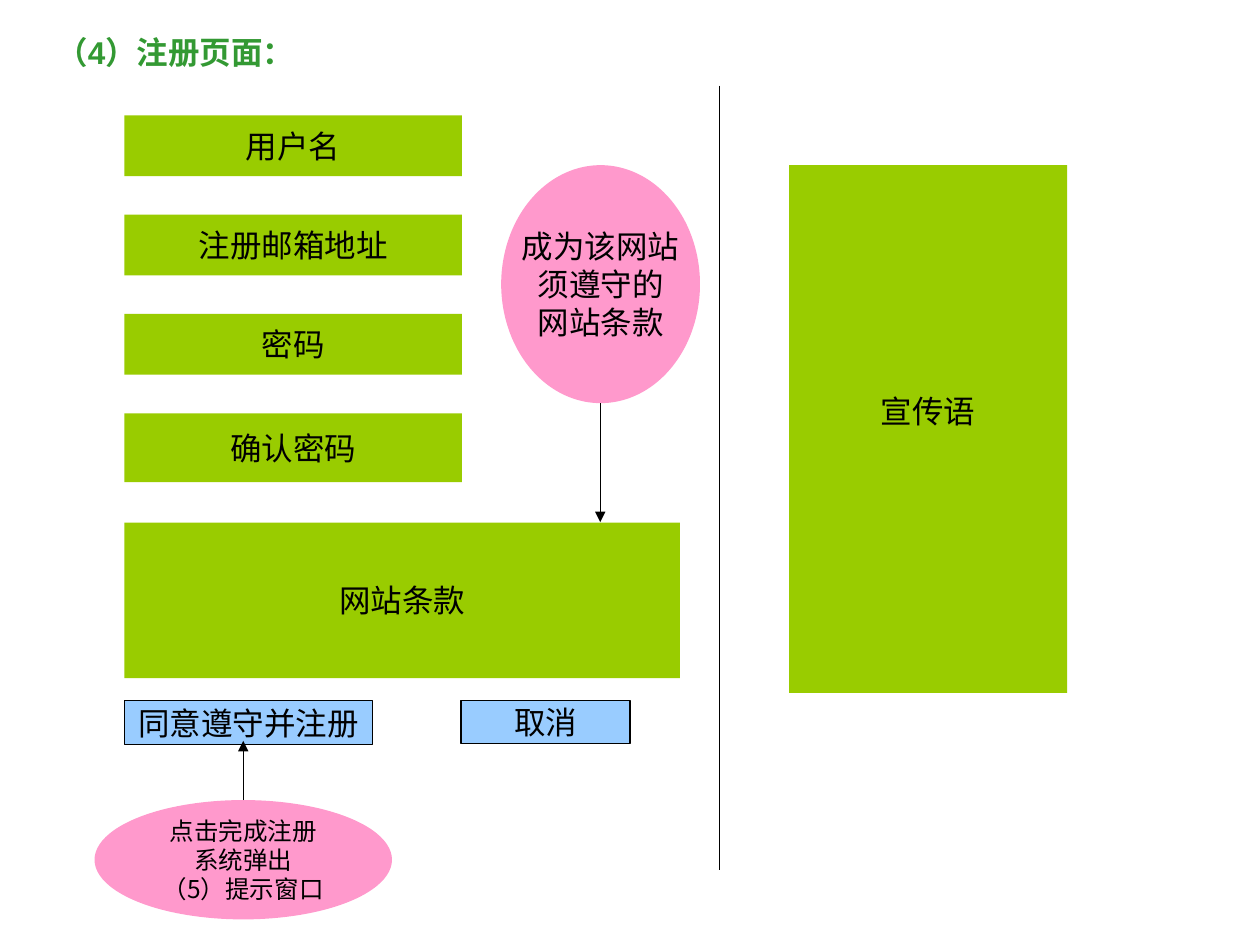
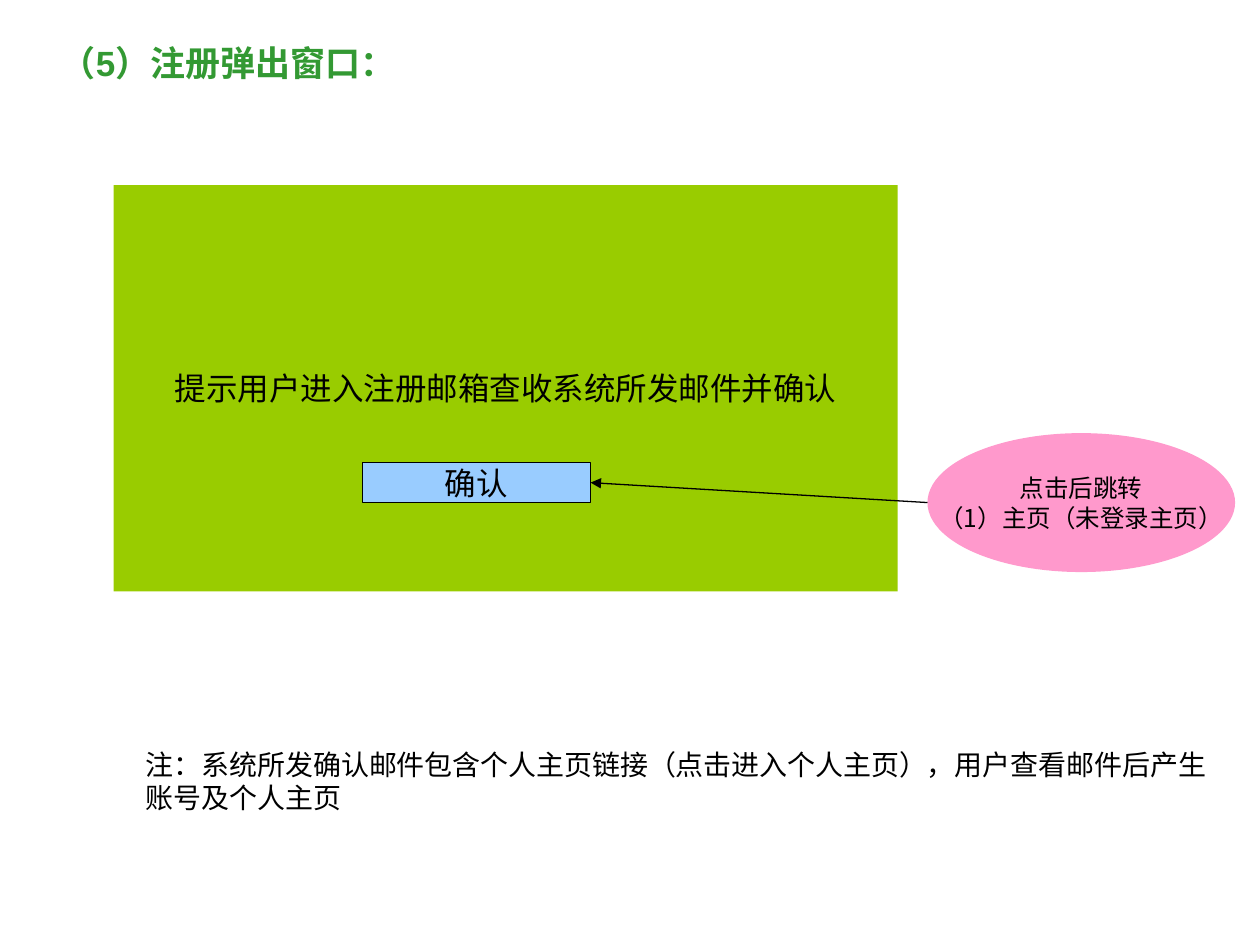
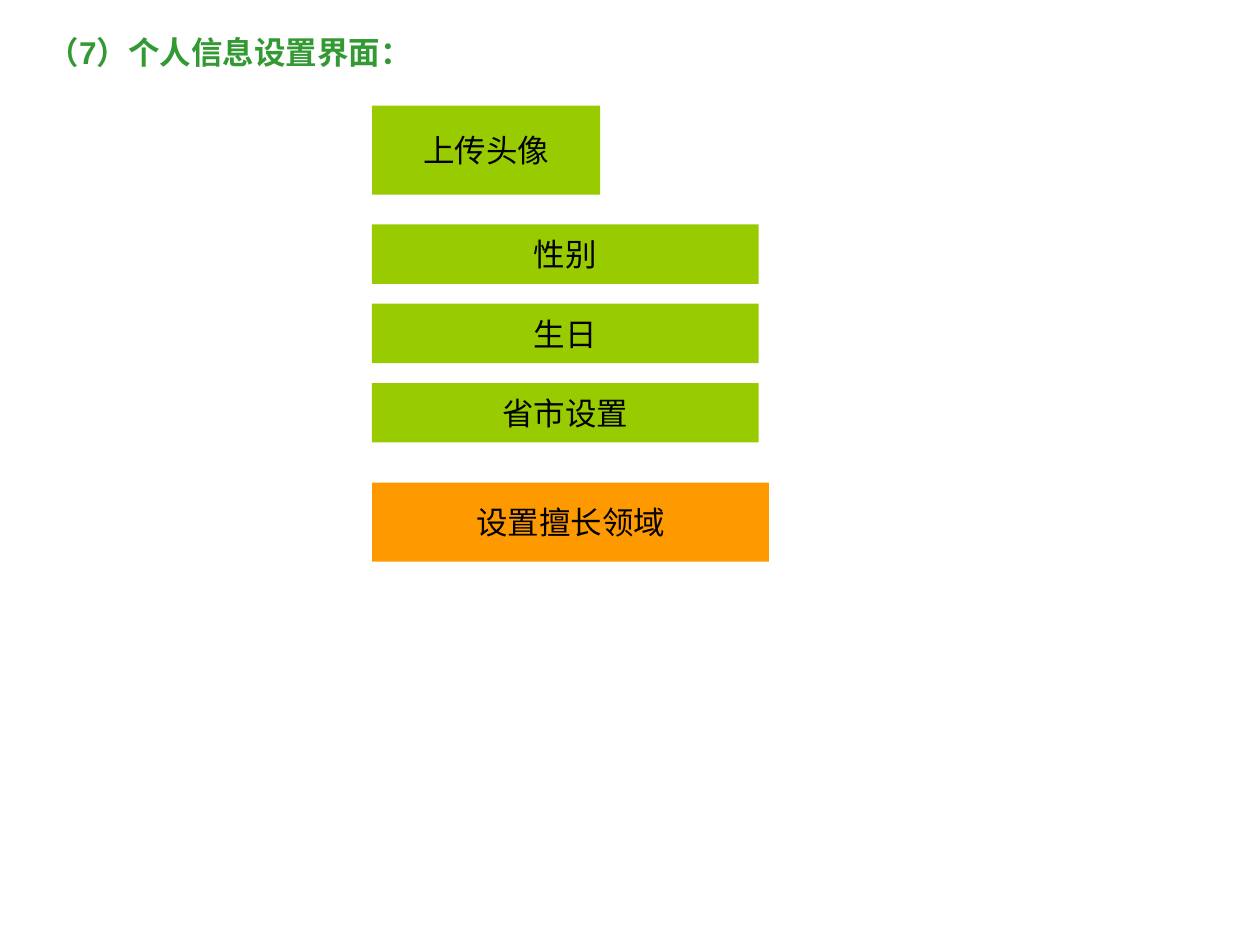
from lxml.etree import SubElement
from pptx import Presentation
from pptx.dml.color import RGBColor
from pptx.enum.shapes import MSO_CONNECTOR, MSO_SHAPE
from pptx.enum.text import MSO_ANCHOR, PP_ALIGN
from pptx.oxml.ns import qn
from pptx.util import Pt

LATIN, CJK = "Arial", "Noto Sans CJK SC"
BLACK, TITLE_GREEN = "000000", "339933"
RECT, OVAL = MSO_SHAPE.RECTANGLE, MSO_SHAPE.OVAL

# kind: preset, fill, outlined, latin font, size
KINDS = {
    "field": (RECT, "99CC00", False, LATIN, 18),
    "skill": (RECT, "FF9900", False, LATIN, 18),
    "button": (RECT, "99CCFF", True, LATIN, 18),
    "note": (OVAL, "FF99CC", False, CJK, 14),
    "big_note": (OVAL, "FF99CC", False, CJK, 18),
}


def stack(labels, left, top, width, height, pitch):
    """Fields of one size, placed at equal steps downwards."""
    return [("field", label, (left, top + i * pitch, width, height))
            for i, label in enumerate(labels)]


# title: text, box, size, alignment; parts: kind, text, box
# lines: from, to, arrow; remark: text, box
SLIDES = [
    {
        "title": ("（4）注册页面：", (25.2, 15.1, 158.4, 28.8), 18, PP_ALIGN.LEFT),
        "parts": stack(["用户名", "注册邮箱地址", "密码"], 71, 66, 193, 34.7, 56.7) + [
            ("field", "确认密码", (71, 236.2, 193, 39.4)),
            ("field", "网站条款", (71, 298.6, 317.5, 89)),
            ("button", "同意遵守并注册", (71, 400.5, 141.8, 25)),
            ("button", "取消", (263.5, 400.5, 96.5, 24.5)),
            ("field", "宣传语", (450.9, 94.4, 158.9, 301.6)),
            ("note", "点击完成注册\n系统弹出\n（5）提示窗口", (54, 457.2, 170, 68.2)),
            ("big_note", "成为该网站\n须遵守的\n网站条款", (286.4, 94.4, 113.6, 136)),
        ],
        "lines": [
            ((411.1, 49), (411.1, 497), False),
            ((139, 457.2), (139, 423.4), True),
            ((343, 230.4), (343, 298.4), True),
        ],
    },
    {
        "title": ("（5）注册弹出窗口：", (8.6, 20.2, 244, 33), 20, PP_ALIGN.CENTER),
        "parts": [
            ("field", "提示用户进入注册邮箱查收系统所发邮件并确认",
             (65, 105.8, 448, 232.2)),
            ("button", "确认", (207, 264.3, 130.5, 22.7)),
            ("note", "点击后跳转\n（1）主页（未登录主页）", (530, 247.5, 175.8, 79.4)),
        ],
        "lines": [((530, 287.2), (337.5, 275.8), True)],
        "remark": ("注：系统所发确认邮件包含个人主页链接（点击进入个人主页），"
                   "用户查看邮件后产生账号及个人主页", (76.3, 423.4, 635, 46)),
    },
    {
        "title": ("（7）个人信息设置界面：", (20.2, 15.1, 221, 28.8), 18, PP_ALIGN.LEFT),
        "parts": [("field", "上传头像", (212.6, 60.3, 130.3, 51))]
        + stack(["性别", "生日", "省市设置"], 212.6, 128.2, 221, 34, 45.35)
        + [("skill", "设置擅长领域", (212.6, 275.8, 226.8, 45.2))],
        "lines": [],
    },
]
RAISED = {"宣传语": 21}  # extra bottom inset that lifts centred text


def rgb(color):
    return RGBColor.from_string(color)


def pts(values):
    return [Pt(v) for v in values]


def write(tf, text, size, color=BLACK, latin=LATIN, bold=False, align=PP_ALIGN.LEFT):
    tf.text = text
    for p in tf.paragraphs:
        p.alignment = align
        for r in p.runs:
            r.font.size, r.font.bold, r.font.name = Pt(size), bold, latin
            r.font.color.rgb = rgb(color)
            SubElement(r.font._element, qn("a:ea"), typeface=CJK)


def add_text(slide, text, box, size, **style):
    tf = slide.shapes.add_textbox(*pts(box)).text_frame
    tf.word_wrap = True
    write(tf, text, size, **style)


def add_part(slide, kind, text, box):
    preset, fill, outlined, latin, size = KINDS[kind]
    s = slide.shapes.add_shape(preset, *pts(box))
    s.shadow.inherit = False
    s.fill.solid()
    s.fill.fore_color.rgb = rgb(fill)
    if outlined:
        s.line.color.rgb = rgb(BLACK)
        s.line.width = Pt(0.75)
    else:
        s.line.fill.background()
    tf = s.text_frame
    tf.word_wrap = False
    tf.vertical_anchor = MSO_ANCHOR.MIDDLE
    tf.margin_bottom = Pt(3.6 + RAISED.get(text, 0))
    write(tf, text, size, latin=latin, align=PP_ALIGN.CENTER)


def add_line(slide, start, end, arrow):
    c = slide.shapes.add_connector(MSO_CONNECTOR.STRAIGHT, *pts(start + end))
    c.line.color.rgb = rgb(BLACK)
    c.line.width = Pt(0.75)
    if arrow:
        SubElement(c.line._get_or_add_ln(), qn("a:tailEnd"), type="triangle")
    SubElement(c._element.spPr, qn("a:effectLst"))


def main():
    prs = Presentation()
    prs.slide_width, prs.slide_height = Pt(720), Pt(540)
    for content in SLIDES:
        slide = prs.slides.add_slide(prs.slide_layouts[6])
        text, box, size, align = content["title"]
        add_text(slide, text, box, size, color=TITLE_GREEN, bold=True, align=align)
        for part in content["parts"]:
            add_part(slide, *part)
        for line in content["lines"]:
            add_line(slide, *line)
        if "remark" in content:
            add_text(slide, *content["remark"], 16)
    prs.save("out.pptx")


if __name__ == "__main__":
    main()
